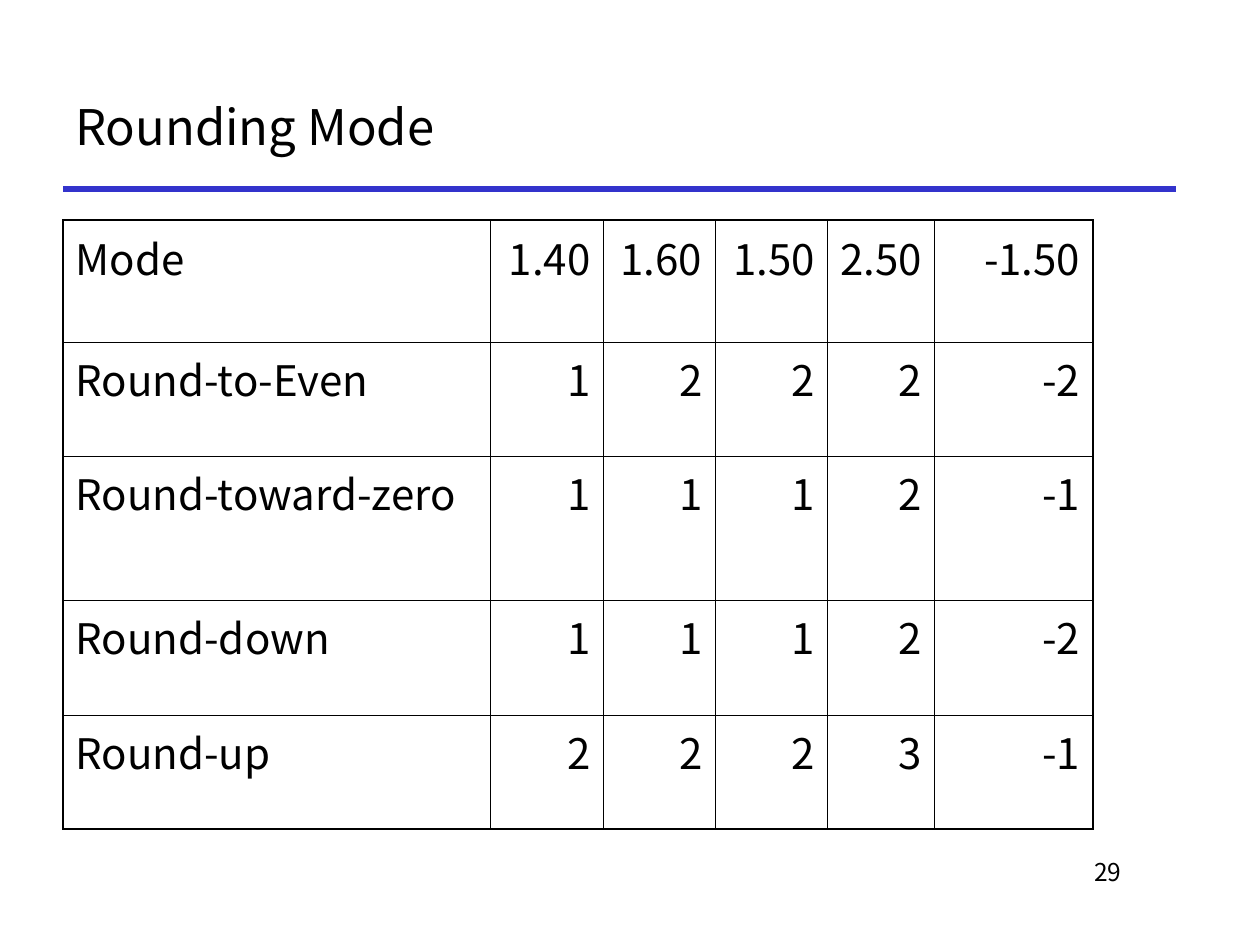
from lxml import etree
from pptx import Presentation
from pptx import util as u
from pptx.dml.color import RGBColor
from pptx.enum import shapes, text
from pptx.oxml.ns import qn

PX = u.Inches(1) / 126
COLORS = {"ink": "000000", "rule": "3333CC"}
FONT = "Noto Sans CJK KR"
LEFT, RIGHT = text.PP_ALIGN.LEFT, text.PP_ALIGN.RIGHT
THIN, THICK = 0.45, 1.08


def px(*values):
    return [round(v * PX) for v in values]


def write(tf, content, size, align):
    p = tf.paragraphs[0]
    p.alignment = align
    r = p.add_run()
    r.text = content
    for name, value in {"name": FONT, "size": u.Pt(size)}.items():
        setattr(r.font, name, value)
    r.font.color.rgb = RGBColor.from_string(COLORS["ink"])


prs = Presentation()
prs.slide_width, prs.slide_height = px(1260, 945)
s = prs.slides.add_slide(prs.slide_layouts[6])

rule = s.shapes.add_connector(shapes.MSO_CONNECTOR.STRAIGHT, *px(63, 189, 1176, 189))
rule.line.color.rgb = RGBColor.from_string(COLORS["rule"])
rule.line.width = u.Pt(3)
etree.SubElement(rule._element.spPr, qn("a:effectLst"))

boxes = [
    ("29", (955, 851, 179, 63), 14, RIGHT, text.MSO_ANCHOR.TOP),
    ("Rounding Mode", (63, 63, 1113, 126), 28, LEFT, text.MSO_ANCHOR.MIDDLE),
]
for content, box, size, align, anchor in boxes:
    tf = s.shapes.add_textbox(*px(*box)).text_frame
    for name, value in {"word_wrap": True, "vertical_anchor": anchor}.items():
        setattr(tf, name, value)
    write(tf, content, size, align)

rows = [
    ("Mode", "1.40", "1.60", "1.50", "2.50", "-1.50"),
    ("Round-to-Even", "1", "2", "2", "2", "-2"),
    ("Round-toward-zero", "1", "1", "1", "2", "-1"),
    ("Round-down", "1", "1", "1", "2", "-2"),
    ("Round-up", "2", "2", "2", "3", "-1"),
]
widths = [427, 113, 112, 113, 107, 158]
heights = [122, 114, 144, 115, 114]
last_row, last_col = len(heights) - 1, len(widths) - 1

frame = s.shapes.add_table(
    len(heights), len(widths), *px(63, 220, sum(widths), sum(heights))
)
table = frame.table
for name, value in {"first_row": False, "horz_banding": False}.items():
    setattr(table, name, value)
for column, width in zip(table.columns, px(*widths)):
    column.width = width
for row, height in zip(table.rows, px(*heights)):
    row.height = height

for i, values in enumerate(rows):
    for j, value in enumerate(values):
        cell = table.cell(i, j)
        write(cell.text_frame, value, 24, RIGHT if j else LEFT)
        tcPr = cell._tc.get_or_add_tcPr()
        outer = {"L": j == 0, "R": j == last_col, "T": i == 0, "B": i == last_row}
        for side, is_outer in outer.items():
            width = u.Pt(THICK if is_outer else THIN)
            ln = etree.SubElement(tcPr, qn(f"a:ln{side}"), w=str(width))
            fill = etree.SubElement(ln, qn("a:solidFill"))
            etree.SubElement(fill, qn("a:srgbClr"), val=COLORS["ink"])
        cell.fill.background()

prs.save("out.pptx")
